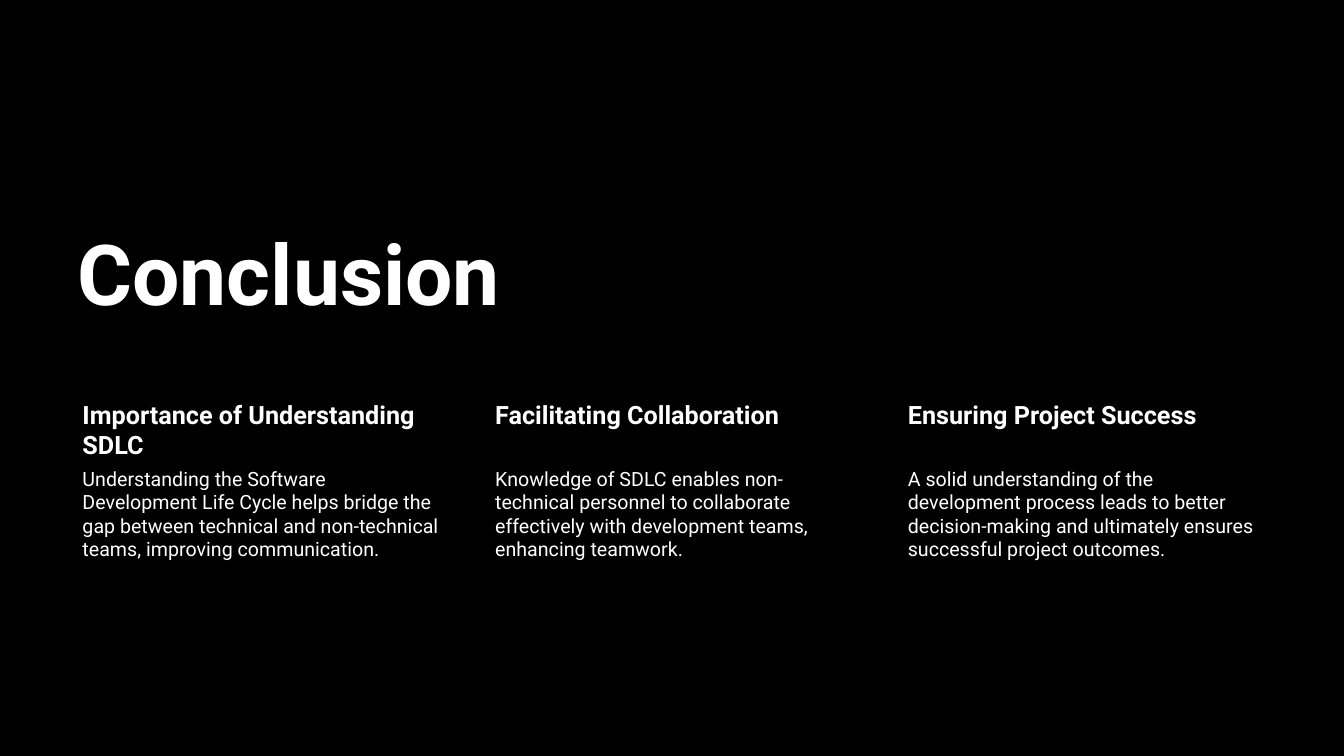
from pptx import Presentation
from pptx.dml.color import RGBColor
from pptx.enum.text import MSO_ANCHOR, MSO_AUTO_SIZE, PP_ALIGN
from pptx.util import Cm, Pt

LEFT = PP_ALIGN.LEFT
TOP, BOTTOM = MSO_ANCHOR.TOP, MSO_ANCHOR.BOTTOM
FIXED = MSO_AUTO_SIZE.NONE
FACE = "Roboto"
BLACK, WHITE = "000000", "FFFFFF"
EDGE, WIDTH, PITCH = 1.7, 9.45, 10.4
HEAD_TOP, HEAD_TALL = 9.98, 1.73
BODY_TOP, BODY_TALL = 11.71, 5.23

POINTS = [
    ("Importance of Understanding SDLC",
     "Understanding the Software Development Life Cycle helps bridge the gap "
     "between technical and non-technical teams, improving communication."),
    ("Facilitating Collaboration",
     "Knowledge of SDLC enables non-technical personnel to collaborate "
     "effectively with development teams, enhancing teamwork."),
    ("Ensuring Project Success",
     "A solid understanding of the development process leads to better "
     "decision-making and ultimately ensures successful project outcomes."),
]


def paint(target, color):
    target.rgb = RGBColor.from_string(color)


def write(frame, text, size, bold, anchor):
    frame.word_wrap = True
    frame.auto_size = FIXED
    frame.vertical_anchor = anchor
    para = frame.paragraphs[0]
    para.text = text
    para.alignment = LEFT
    para.font.name = FACE
    para.font.size = Pt(size)
    para.font.bold = bold
    paint(para.font.color, WHITE)
    return para


def add_title(slide, text):
    title = slide.shapes.title
    title.left, title.top = Cm(EDGE), Cm(5.13)
    title.width, title.height = Cm(20.4), Cm(3.15)
    para = write(title.text_frame, text, 60, True, BOTTOM)
    para.line_spacing = 0.9


def add_text(group, left, top, height, text, size, bold, inset):
    box = group.shapes.add_textbox(Cm(left), Cm(top), Cm(WIDTH), Cm(height))
    frame = box.text_frame
    frame.margin_left = Cm(0.38)
    frame.margin_top = frame.margin_right = frame.margin_bottom = Cm(inset)
    write(frame, text, size, bold, TOP)


def add_point(slide, left, head, body):
    group = slide.shapes.add_group_shape()
    add_text(group, left, HEAD_TOP, HEAD_TALL, head, 18, True, 0.08)
    add_text(group, left, BODY_TOP, BODY_TALL, body, 14, False, 0.05)


def main():
    deck = Presentation()
    deck.slide_width, deck.slide_height = Cm(33.87), Cm(19.05)
    slide = deck.slides.add_slide(deck.slide_layouts[5])
    fill = slide.background.fill
    fill.solid()
    paint(fill.fore_color, BLACK)
    add_title(slide, "Conclusion")
    for index, (head, body) in enumerate(POINTS):
        add_point(slide, EDGE + index * PITCH, head, body)
    deck.save("out.pptx")


if __name__ == "__main__":
    main()
